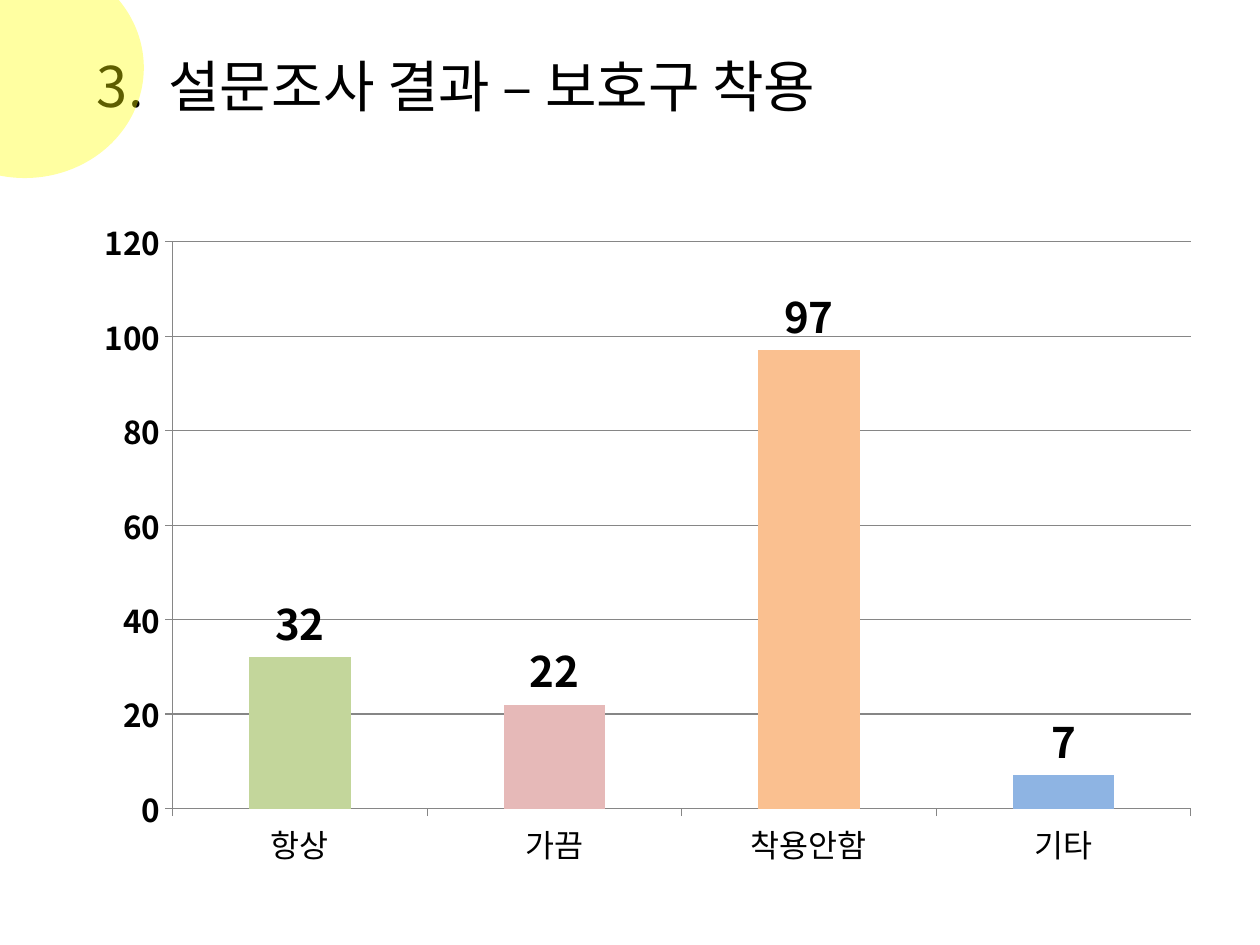
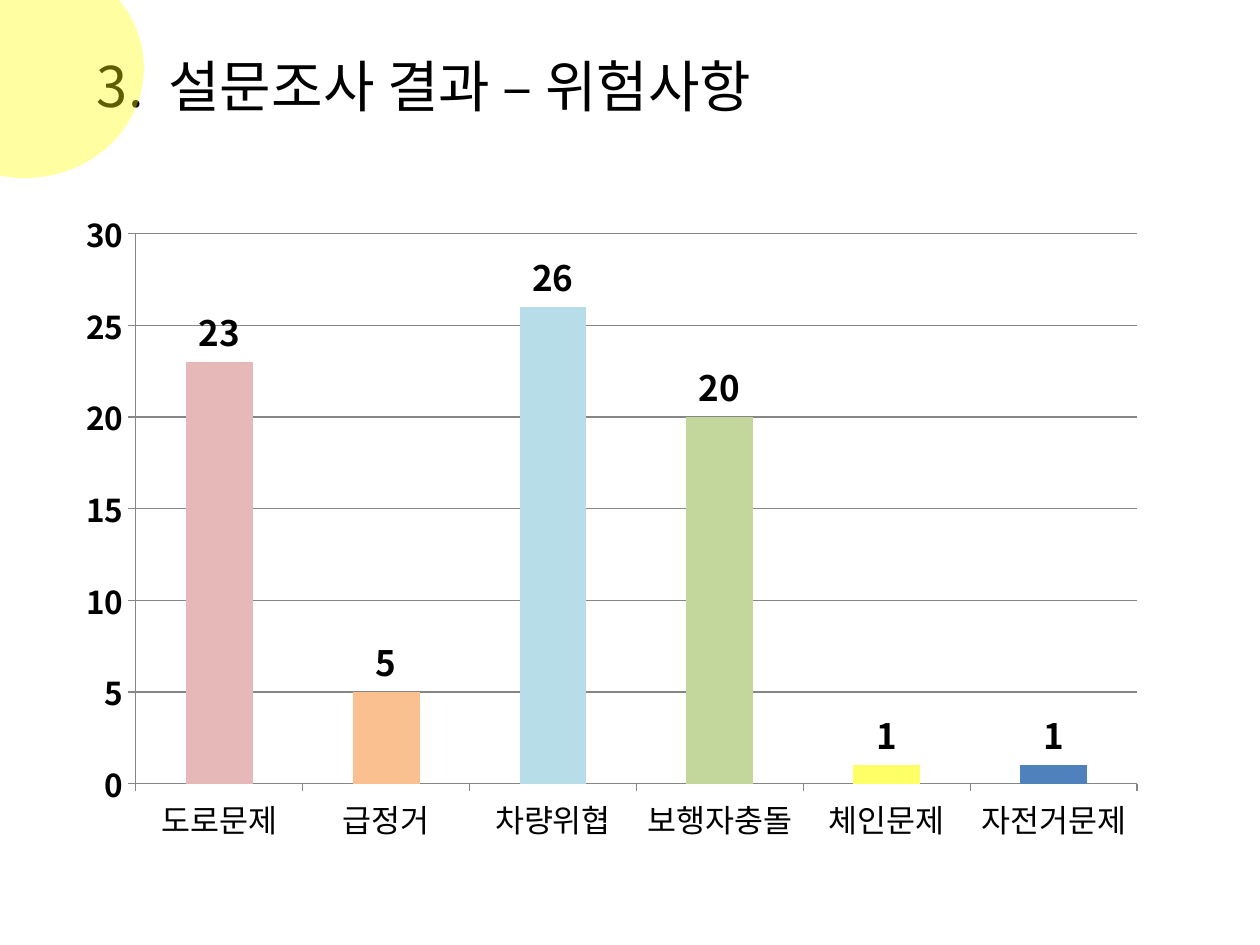
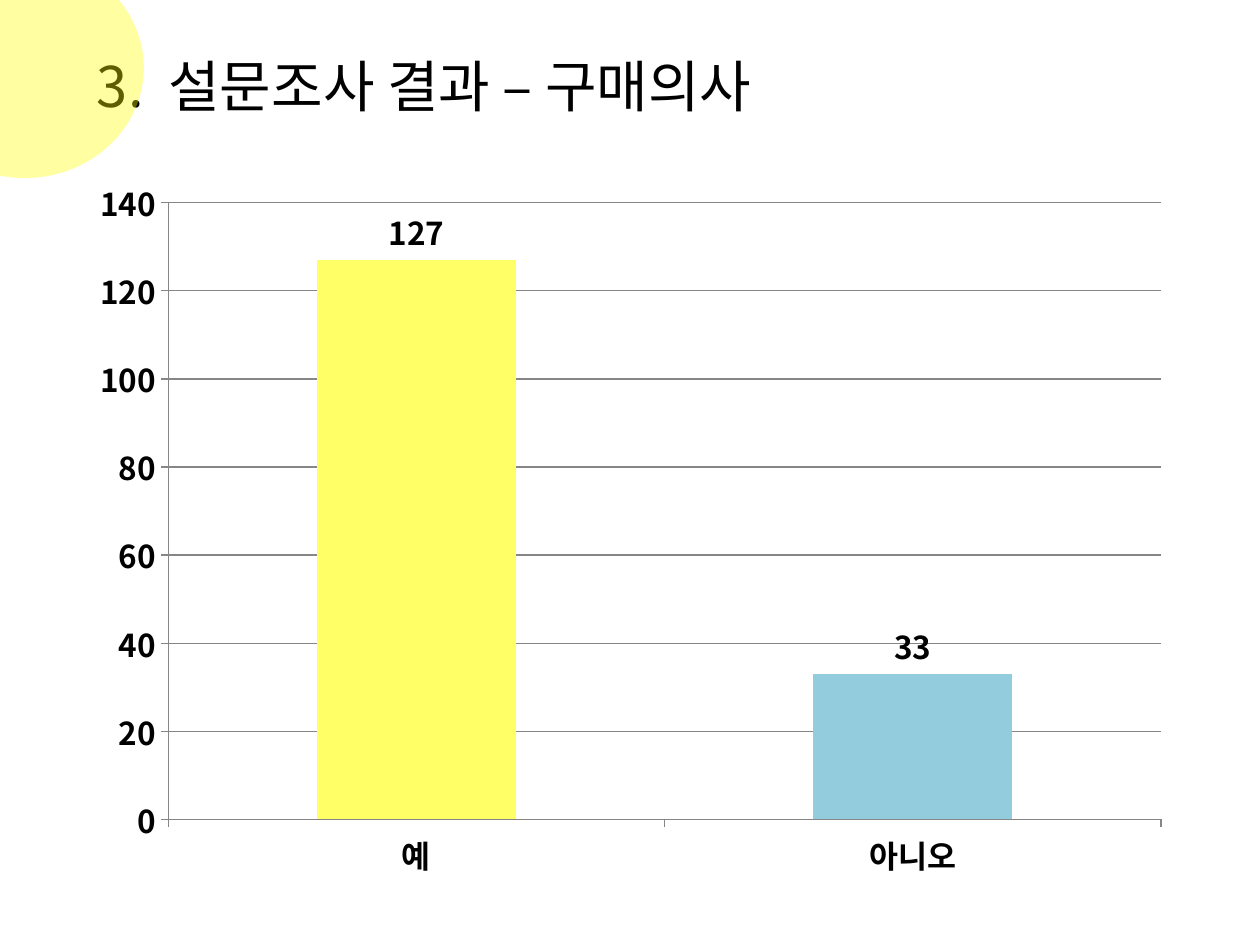
"""Builds three survey result slides, each with a title, a corner disc and a column chart."""
from dataclasses import dataclass

from lxml.etree import SubElement
from pptx import Presentation
from pptx.chart.data import CategoryChartData
from pptx.dml.color import RGBColor
from pptx.enum.chart import XL_CHART_TYPE as ChartType
from pptx.enum.chart import XL_LABEL_POSITION as LabelPosition
from pptx.enum.chart import XL_TICK_MARK as TickMark
from pptx.enum.shapes import MSO_SHAPE as Shape
from pptx.enum.text import MSO_ANCHOR as Anchor
from pptx.enum.text import MSO_AUTO_SIZE as AutoSize
from pptx.enum.text import PP_ALIGN as Align
from pptx.oxml import parse_xml
from pptx.oxml.ns import nsdecls, qn
from pptx.util import Cm, Pt


@dataclass(frozen=True)
class Theme:
    font: str = "Noto Sans CJK KR"
    ink: str = "000000"
    grid: str = "868686"
    disc: str = "FFFF00"
    disc_opacity: int = 37
    title_size: int = 32
    chart_size: int = 18
    green: str = "C3D69B"
    pink: str = "E6B9B8"
    orange: str = "FAC090"
    sky: str = "8EB4E3"
    pale: str = "B7DEE8"
    yellow: str = "FFFF66"
    blue: str = "4F81BD"
    aqua: str = "93CDDD"
    violet: str = "B3A2C7"


THEME = Theme()
NUMBER = "3."
HEADING = "설문조사 결과 – "
NUMBER_GAP = 7
DISC = (-1.9, -0.86, 4.8, 4.45)

SURVEYS = [
    dict(
        topic="보호구 착용", title_width=24.61, frame=(1.65, 4.14, 22.81, 13.61),
        base=THEME.orange, label_size=24, bold_categories=False, plot=None,
        answers=[
            ("항상", 32, THEME.green),
            ("가끔", 22, THEME.pink),
            ("착용안함", 97, THEME.orange),
            ("기타", 7, THEME.sky),
        ],
    ),
    dict(
        topic="위험사항", title_width=21.79, frame=(0.1, 1.3, 24.89, 17.22),
        base=THEME.blue, label_size=20, bold_categories=False,
        plot=dict(x=0.106, y=0.198, w=0.811, h=0.644),
        answers=[
            ("도로문제", 23, THEME.pink),
            ("급정거", 5, THEME.orange),
            ("차량위협", 26, THEME.pale),
            ("보행자충돌", 20, THEME.green),
            ("체인문제", 1, THEME.yellow),
            ("자전거문제", 1, THEME.blue),
        ],
    ),
    dict(
        topic="구매의사", title_width=22, frame=(1.57, 3.33, 22.28, 14.66),
        base=THEME.violet, label_size=18, bold_categories=True, plot=None,
        answers=[
            ("예", 127, THEME.yellow),
            ("아니오", 33, THEME.aqua),
        ],
    ),
]


def rgb(code):
    return RGBColor.from_string(code)


def paint(target, code):
    target.fill.solid()
    target.fill.fore_color.rgb = rgb(code)


def style_font(font, size, bold=False):
    font.name = THEME.font
    font.size = Pt(size)
    font.bold = bold
    font.color.rgb = rgb(THEME.ink)


def add_title(page, topic, width):
    title = page.shapes.title
    title.left, title.top, title.width, title.height = map(Cm, (1.7, 0.9, width, 1.63))
    frame = title.text_frame
    frame.auto_size = AutoSize.NONE
    frame.word_wrap = True
    frame.vertical_anchor = Anchor.MIDDLE
    frame.margin_top = frame.margin_bottom = 0
    para = frame.paragraphs[0]
    para.alignment = Align.LEFT
    style_font(para.font, THEME.title_size)
    for text in (NUMBER, " ", HEADING + topic):
        span = para.add_run()
        span.text = text
        if text == " ":
            span._r.get_or_add_rPr().set("spc", str(NUMBER_GAP * 100))


def add_disc(page):
    disc = page.shapes.add_shape(Shape.OVAL, *map(Cm, DISC))
    disc.shadow.inherit = False
    paint(disc, THEME.disc)
    disc.line.fill.background()
    color = disc.fill._xPr.find(qn("a:solidFill"))[0]
    SubElement(color, qn("a:alpha")).set("val", str(THEME.disc_opacity * 1000))


def place_plot(chart, plot):
    area = chart._chartSpace.chart.plotArea
    for old in area.findall(qn("c:layout")):
        area.remove(old)
    modes = "".join(f'<c:{side}Mode val="edge"/>' for side in "xy")
    sizes = "".join(f'<c:{side} val="{share}"/>' for side, share in plot.items())
    area.insert(0, parse_xml(
        f'<c:layout {nsdecls("c")}><c:manualLayout><c:layoutTarget val="inner"/>'
        f"{modes}{sizes}</c:manualLayout></c:layout>"
    ))


def style_axis(axis, bold, grid):
    axis.major_tick_mark = TickMark.OUTSIDE
    axis.minor_tick_mark = TickMark.NONE
    axis.has_major_gridlines = grid
    style_font(axis.tick_labels.font, THEME.chart_size, bold)
    lines = [axis.format.line]
    if grid:
        lines.append(axis.major_gridlines.format.line)
    for line in lines:
        line.color.rgb = rgb(THEME.grid)
        line.width = Pt(0.75)


def add_survey_chart(page, survey):
    names, counts, colors = zip(*survey["answers"])
    data = CategoryChartData()
    data.categories = names
    data.add_series("Series 1", counts)
    chart = page.shapes.add_chart(
        ChartType.COLUMN_CLUSTERED, *map(Cm, survey["frame"]), data
    ).chart
    chart.has_title = False
    chart.has_legend = False
    style_font(chart.font, THEME.chart_size)
    style_axis(chart.category_axis, survey["bold_categories"], False)
    style_axis(chart.value_axis, True, True)

    bars = chart.plots[0]
    bars.gap_width = 150
    bars.vary_by_categories = False
    series = bars.series[0]
    paint(series.format, survey["base"])
    for index, color in enumerate(colors):
        if color != survey["base"]:
            paint(series.points[index].format, color)
    labels = series.data_labels
    labels.show_value = True
    labels.position = LabelPosition.OUTSIDE_END
    style_font(labels.font, survey["label_size"], True)
    if survey["plot"]:
        place_plot(chart, survey["plot"])


def main():
    deck = Presentation()
    deck.slide_width, deck.slide_height = Cm(25.4), Cm(19.05)
    for survey in SURVEYS:
        page = deck.slides.add_slide(deck.slide_layouts[5])
        add_title(page, survey["topic"], survey["title_width"])
        add_disc(page)
        add_survey_chart(page, survey)
    deck.save("out.pptx")


if __name__ == "__main__":
    main()
